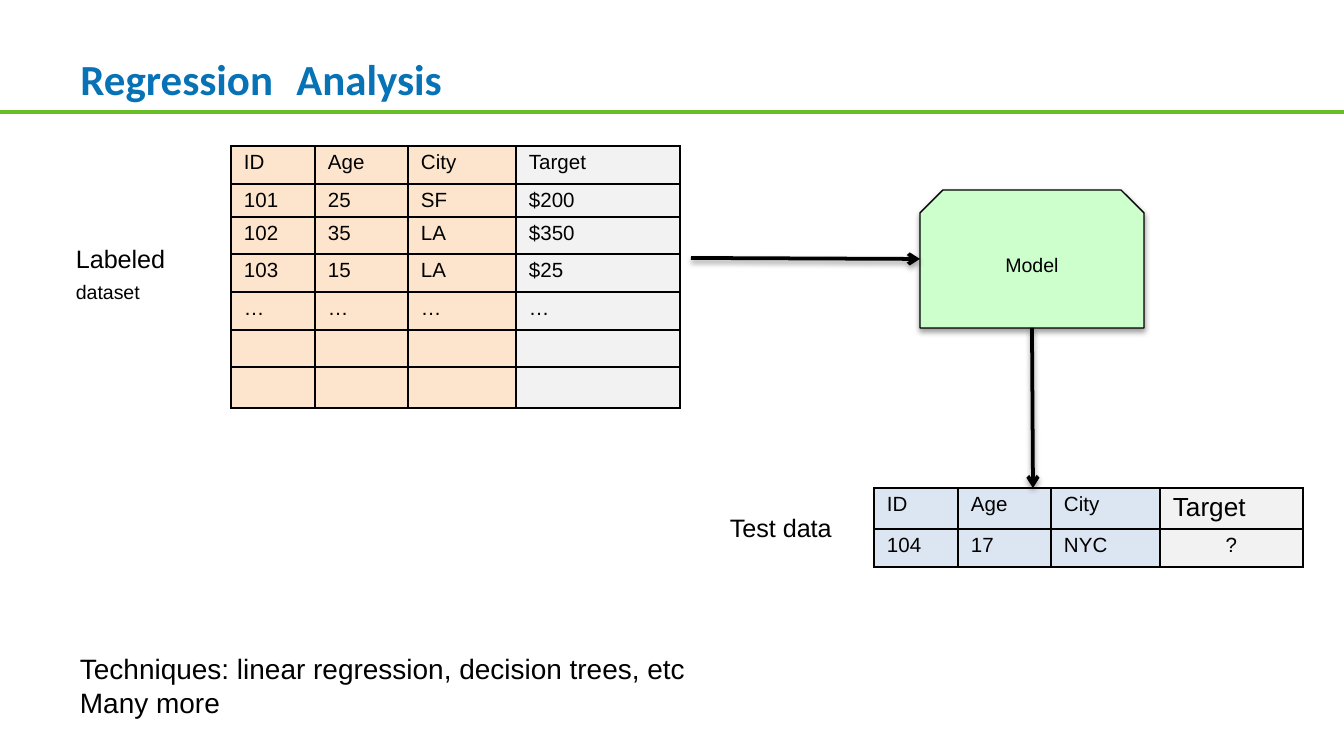
from dataclasses import dataclass

from lxml import etree
from pptx import Presentation
from pptx import util as u
from pptx.dml.color import RGBColor
from pptx.enum import shapes, text
from pptx.oxml import parse_xml
from pptx.oxml.ns import nsdecls, qn

EMU_PER_PX = 9144000 / 1344

BLACK = RGBColor(0x00, 0x00, 0x00)
BLUE = RGBColor(0x07, 0x73, 0xB6)
GREEN = RGBColor(0x69, 0xBE, 0x28)
MINT = RGBColor(0xCC, 0xFF, 0xCC)
PEACH = RGBColor(0xFD, 0xE5, 0xCD)
PALE_BLUE = RGBColor(0xDC, 0xE6, 0xF2)
GRAY = RGBColor(0xF2, 0xF2, 0xF2)


@dataclass
class DataTable:
    x: int
    y: int
    cols: list[int]
    heights: list[int]
    rows: list[list[str]]
    feature_fill: RGBColor


@dataclass
class Label:
    x: int
    y: int
    w: int
    h: int
    lines: list[tuple[str, float]]
    inset_x: int = 10
    inset_y: int = 5
    space_before: float = 0


@dataclass
class Line:
    x1: int
    y1: int
    x2: int
    y2: int
    color: RGBColor = BLACK
    arrow: bool = True


HEADER = ["ID", "Age", "City", "Target"]
TABLES = [
    DataTable(231, 146, [84, 93, 108, 164], [38, 33, 37, 38, 38, 37, 41],
              [HEADER, ["101", "25", "SF", "$200"], ["102", "35", "LA", "$350"],
               ["103", "15", "LA", "$25"], ["…"] * 4, [""] * 4, [""] * 4], PEACH),
    DataTable(874, 488, [84, 93, 109, 143], [41, 38],
              [HEADER, ["104", "17", "NYC", "?"]], PALE_BLUE),
]
LABELS = [
    Label(66, 238, 134, 101, [("Labeled", 13.5), ("dataset", 10.5)], space_before=3.5),
    Label(720, 507, 134, 55, [("Test data", 13.5)]),
    Label(67, 645, 943, 86, [("Techniques: linear regression, decision trees, etc", 15),
                             ("Many more", 15)], 13, 7),
]
RULE = Line(0, 112, 1344, 112, GREEN, arrow=False)
ARROWS = [Line(691, 258, 920, 259), Line(1032, 328, 1033, 488)]


def px(n: float) -> u.Emu:
    return u.Emu(round(n * EMU_PER_PX))


def style(r, size: float, color: RGBColor = BLACK, name: str = "Arial", bold: bool = False) -> None:
    r.font.size, r.font.name, r.font.bold = u.Pt(size), name, bold
    r.font.color.rgb = color


def add_effects(sp, shadow: bool) -> None:
    """Give the shape a soft shadow straight below it, or an empty effect list."""
    effect = ('<a:outerShdw blurRad="39370" dist="20320" dir="5400000" rotWithShape="0">'
              '<a:srgbClr val="000000"><a:alpha val="38000"/></a:srgbClr></a:outerShdw>')
    sp._element.spPr.append(parse_xml(
        f'<a:effectLst {nsdecls("a")}>{effect if shadow else ""}</a:effectLst>'))


def add_line(s, line: Line) -> None:
    cx = s.shapes.add_connector(shapes.MSO_CONNECTOR.STRAIGHT, px(line.x1), px(line.y1),
                                px(line.x2), px(line.y2))
    cx.line.color.rgb = line.color
    cx.line.width = u.Pt(2)
    if line.arrow:
        etree.SubElement(cx.line._get_or_add_ln(), qn("a:tailEnd"), type="arrow")
    add_effects(cx, line.arrow)


def add_borders(cell) -> None:
    tc_pr = cell._tc.get_or_add_tcPr()
    for side in "LRTB":
        tc_pr.append(parse_xml(
            f'<a:ln{side} {nsdecls("a")} w="12700"><a:solidFill>'
            f'<a:srgbClr val="{BLACK}"/></a:solidFill></a:ln{side}>'))


def add_table(s, t: DataTable) -> None:
    tbl = s.shapes.add_table(len(t.rows), len(t.cols), px(t.x), px(t.y),
                             px(sum(t.cols)), px(sum(t.heights))).table
    tbl.first_row = tbl.horz_banding = False
    for col, w in zip(tbl.columns, t.cols):
        col.width = px(w)
    for row, h in zip(tbl.rows, t.heights):
        row.height = px(h)
    for i, values in enumerate(t.rows):
        for j, value in enumerate(values):
            cell = tbl.cell(i, j)
            cell.margin_left = cell.margin_right = px(13)
            cell.margin_top = cell.margin_bottom = px(5)
            add_borders(cell)
            cell.fill.solid()
            cell.fill.fore_color.rgb = GRAY if j == 3 else t.feature_fill
            p = cell.text_frame.paragraphs[0]
            if value:
                p.text = value
                style(p.runs[0], 11)
            else:
                etree.SubElement(p._p, qn("a:endParaRPr"), sz="1100")
            if value == "?":
                p.alignment = text.PP_ALIGN.CENTER
    if t.feature_fill == PALE_BLUE:
        style(tbl.cell(0, 3).text_frame.paragraphs[0].runs[0], 14)


def add_label(s, label: Label) -> None:
    tf = s.shapes.add_textbox(px(label.x), px(label.y), px(label.w), px(label.h)).text_frame
    tf.word_wrap = True
    tf.margin_left = tf.margin_right = px(label.inset_x)
    tf.margin_top = tf.margin_bottom = px(label.inset_y)
    tf.text = "\n".join(line for line, _ in label.lines)
    for i, (p, (_, size)) in enumerate(zip(tf.paragraphs, label.lines)):
        style(p.runs[0], size)
        if i and label.space_before:
            p.space_before = u.Pt(label.space_before)


def add_model(s) -> None:
    sp = s.shapes.add_shape(shapes.MSO_SHAPE.SNIP_2_SAME_RECTANGLE,
                            px(920), px(190), px(224), px(138))
    sp.fill.solid()
    sp.fill.fore_color.rgb = MINT
    sp.line.color.rgb = BLACK
    sp.line.width = u.Pt(0.75)
    add_effects(sp, True)
    tf = sp.text_frame
    tf.text = "Model"
    tf.vertical_anchor = text.MSO_ANCHOR.MIDDLE
    tf.paragraphs[0].alignment = text.PP_ALIGN.CENTER
    style(tf.paragraphs[0].runs[0], 10.5)


def set_title(s) -> None:
    sp = s.shapes.title
    sp.left, sp.top, sp.width, sp.height = px(67), px(0), px(1210), px(112)
    tf = sp.text_frame
    tf.auto_size = text.MSO_AUTO_SIZE.NONE
    tf.vertical_anchor = text.MSO_ANCHOR.MIDDLE
    tf.margin_top, tf.margin_bottom = px(14), 0
    p = tf.paragraphs[0]
    p.alignment = text.PP_ALIGN.LEFT
    for word in ("Regression", " ", "Analysis"):
        r = p.add_run()
        r.text = word
        if word == " ":
            style(r, 44)
        else:
            style(r, 23, BLUE, "Calibri", True)


def main() -> None:
    prs = Presentation()
    prs.slide_width, prs.slide_height = px(1344), px(756)
    s = prs.slides.add_slide(prs.slide_layouts[5])
    add_line(s, RULE)
    set_title(s)
    for t in TABLES:
        add_table(s, t)
    for label in LABELS:
        add_label(s, label)
    add_model(s)
    for arrow in ARROWS:
        add_line(s, arrow)
    prs.save("out.pptx")


if __name__ == "__main__":
    main()
